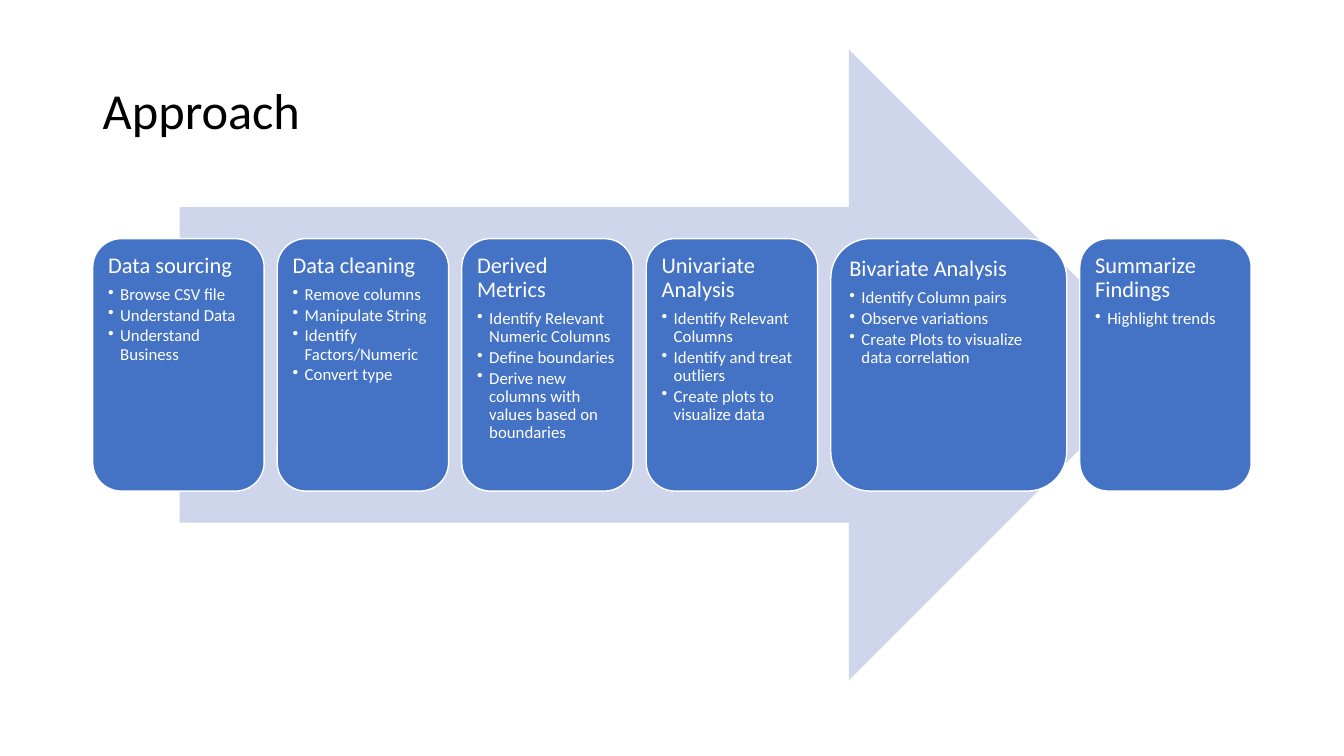
from lxml import etree
from pptx import Presentation
from pptx.dml.color import RGBColor
from pptx.enum.shapes import MSO_SHAPE
from pptx.enum.text import MSO_ANCHOR, PP_ALIGN
from pptx.oxml.ns import qn
from pptx.util import Inches, Pt

ARROW, CARD = MSO_SHAPE.RIGHT_ARROW, MSO_SHAPE.ROUNDED_RECTANGLE
TOP, MIDDLE, LEFT = MSO_ANCHOR.TOP, MSO_ANCHOR.MIDDLE, PP_ALIGN.LEFT

TITLE = "Approach"
STEPS = [
    ("Data sourcing", ["Browse CSV file", "Understand Data", "Understand Business"]),
    ("Data cleaning", ["Remove columns", "Manipulate String",
                       "Identify Factors/Numeric", "Convert type"]),
    ("Derived Metrics", ["Identify Relevant Numeric Columns", "Define boundaries",
                         "Derive new columns with values based on boundaries"]),
    ("Univariate Analysis", ["Identify Relevant Columns", "Identify and treat outliers",
                             "Create plots to visualize data"]),
    ("Bivariate Analysis", ["Identify Column pairs", "Observe variations",
                            "Create Plots to visualize data correlation"]),
    ("Summarize Findings", ["Highlight trends"]),
]
WIDE_STEP = "Bivariate Analysis"

COLORS = {"arrow": "CFD5EA", "card": "4472C4", "light": "FFFFFF", "title": "000000"}
FONT = "Calibri"
SLIDE_W, SLIDE_H = 13.33, 7.5
MARGIN = 0.92
CONTENT_W = SLIDE_W - 2 * MARGIN
ARROW_SHARE = 0.85
ARROW_TOP, ARROW_H = 0.49, 6.26
CARD_H = ARROW_H * 0.4
CARD_TOP = ARROW_TOP + (ARROW_H - CARD_H) / 2
WIDE_W, GAP = 2.34, 0.13
CARD_W = (CONTENT_W - WIDE_W - GAP * (len(STEPS) - 1)) / (len(STEPS) - 1)
INSET, INDENT = 0.07, 0.12


def color(name):
    return RGBColor.from_string(COLORS[name])


def add_shape(slide, kind, x, y, w, h, fill):
    sp = slide.shapes.add_shape(kind, Inches(x), Inches(y), Inches(w), Inches(h))
    sp.shadow.inherit = False
    sp.fill.solid()
    sp.fill.fore_color.rgb = color(fill)
    sp.line.fill.background()
    return sp


def write(p, text, size, ink, after=0):
    p.alignment = LEFT
    p.line_spacing = 0.9
    p.space_after = Pt(after)
    r = p.add_run()
    r.text = text
    r.font.name = FONT
    r.font.size = Pt(size)
    r.font.color.rgb = color(ink)


def add_bullet(p):
    pPr = p._p.get_or_add_pPr()
    pPr.set("marL", str(Inches(INDENT)))
    pPr.set("indent", str(-Inches(INDENT)))
    etree.SubElement(pPr, qn("a:buChar"), char="•")


def add_card(slide, x, w, heading, items):
    sp = add_shape(slide, CARD, x, CARD_TOP, w, CARD_H, "card")
    sp.line.color.rgb = color("light")
    sp.line.width = Pt(1)
    tf = sp.text_frame
    tf.word_wrap = True
    tf.vertical_anchor = TOP
    tf.margin_left = tf.margin_right = tf.margin_top = tf.margin_bottom = Inches(INSET)
    write(tf.paragraphs[0], heading, 16, "light", 5.6)
    for item in items:
        p = tf.add_paragraph()
        write(p, item, 12, "light", 1.8)
        add_bullet(p)


def main():
    prs = Presentation()
    prs.slide_width, prs.slide_height = Inches(SLIDE_W), Inches(SLIDE_H)
    slide = prs.slides.add_slide(prs.slide_layouts[6])

    arrow_w = CONTENT_W * ARROW_SHARE
    add_shape(slide, ARROW, (SLIDE_W - arrow_w) / 2, ARROW_TOP, arrow_w, ARROW_H, "arrow")

    tb = slide.shapes.add_textbox(Inches(MARGIN), Inches(0.4), Inches(CONTENT_W), Inches(1.45))
    tf = tb.text_frame
    tf.word_wrap = True
    tf.vertical_anchor = MIDDLE
    write(tf.paragraphs[0], TITLE, 36, "title")

    x = MARGIN
    for heading, items in STEPS:
        w = WIDE_W if heading == WIDE_STEP else CARD_W
        add_card(slide, x, w, heading, items)
        x += w + GAP

    prs.save("out.pptx")


if __name__ == "__main__":
    main()
